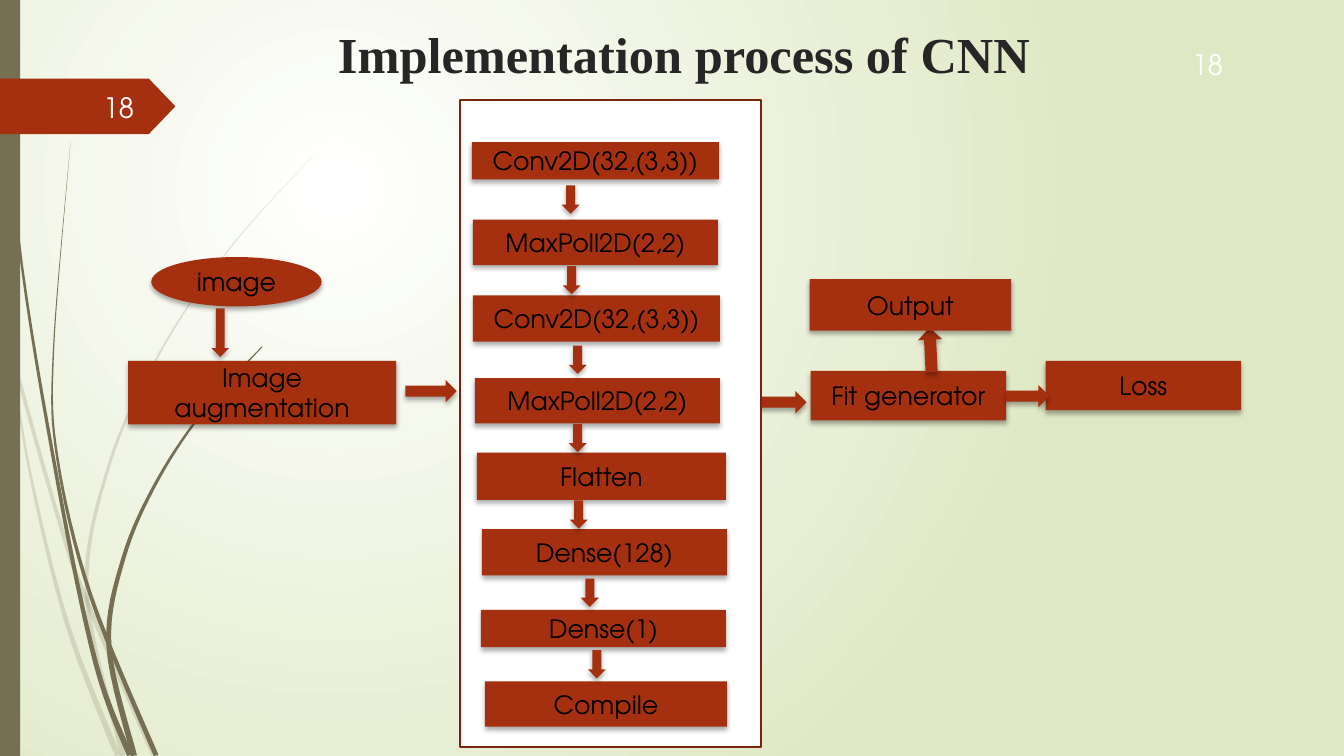
from dataclasses import dataclass
from itertools import pairwise
from math import hypot

from lxml.etree import SubElement
from pptx import Presentation
from pptx.dml.color import RGBColor
from pptx.enum.shapes import MSO_SHAPE
from pptx.enum.text import MSO_ANCHOR, MSO_AUTO_SIZE, PP_ALIGN
from pptx.oxml.ns import qn
from pptx.util import Inches, Pt

COLORS = {
    "rust": "A53010", "panel_line": "7A240C", "olive": "766F54", "white": "FFFFFF",
    "page_number": "FEFFFF", "title": "262626", "black": "000000", "meadow": "DFE8C4",
}
SLIDE_WIDTH, SLIDE_HEIGHT = 13.33, 7.5
BODY_FONT = "TeX Gyre Adventor"
PAGE_NUMBER = "18"
CURVE_STEPS = 8
Points = list[tuple[float, float]]


@dataclass
class Block:
    left: float
    top: float
    width: float
    height: float
    text: str = ""
    kind: MSO_SHAPE = MSO_SHAPE.RECTANGLE
    rotation: float = 0
    fill: str = "rust"
    line: str = ""
    shadow: bool = True

    @property
    def bottom(self) -> float:
        return self.top + self.height


@dataclass
class Blade:
    """A grass blade that follows its knots and widens from tip to root."""
    knots: Points
    tip_width: float
    root_width: float
    opacity: int = 100


# Grass: a pale and a dark tuft, each with an outer, an inner and an arching blade
BLADES = [
    Blade([(0, 2.9), (0.16, 3.65), (0.6, 5.21), (0.86, 5.96), (1.53, 7.5)], 0.03, 0.05, 20),
    Blade([(0.11, 3.5), (0.3, 4.7), (0.67, 6.2), (1.17, 7.5)], 0.01, 0.06, 20),
    Blade([(3.12, 1.53), (2.29, 2.45), (1.59, 3.49), (1.08, 4.62), (0.86, 5.9), (1.22, 7.5)],
          0, 0.05, 20),
    Blade([(0.03, 0), (0.18, 2.33), (0.57, 4.77), (0.95, 6.58), (1.29, 7.5)], 0.01, 0.06),
    Blade([(0.7, 1.41), (0.53, 3.49), (0.57, 4.55), (0.9, 5.91), (1.55, 7.5)], 0, 0.05),
    Blade([(2.6, 3.44), (2.04, 4.05), (1.57, 4.75), (1.23, 5.52), (1.08, 6.4), (1.33, 7.5)],
          0.01, 0.06),
]

# Steps before and after the network
RIGHT, DOWN = MSO_SHAPE.RIGHT_ARROW, MSO_SHAPE.DOWN_ARROW
PIPELINE = [
    Block(1.5, 2.55, 1.69, 0.49, "image", MSO_SHAPE.OVAL),
    Block(8.04, 3.68, 1.94, 0.49, "Fit generator"),
    Block(1.27, 3.58, 2.66, 0.63, "Image augmentation"),
    Block(7.49, 3.88, 0.51, 0.22, kind=RIGHT),
    Block(9.01, 3.35, 0.44, 0.24, kind=RIGHT, rotation=267.3),
    Block(8.03, 2.77, 2, 0.51, "Output"),
    Block(10.37, 3.58, 1.94, 0.49, "Loss"),
    Block(4.02, 3.77, 0.51, 0.22, kind=RIGHT),
    Block(9.98, 3.82, 0.43, 0.22, kind=RIGHT),
    Block(2.1, 3.06, 0.17, 0.48, kind=DOWN),
]

# Network layers from top to bottom; each arrow sits midway in the gap between two layers
PANEL = Block(4.56, 0.99, 2.99, 6.42, fill="white", line="panel_line", shadow=False)
LAYERS = [
    Block(4.68, 1.41, 2.45, 0.37, "Conv2D(32,(3,3))"),
    Block(4.69, 2.18, 2.43, 0.45, "MaxPoll2D(2,2)"),
    Block(4.69, 2.93, 2.45, 0.46, "Conv2D(32,(3,3))"),
    Block(4.71, 3.75, 2.43, 0.45, "MaxPoll2D(2,2)"),
    Block(4.73, 4.49, 2.47, 0.47, "Flatten"),
    Block(4.78, 5.25, 2.43, 0.46, "Dense(128)"),
    Block(4.77, 6.05, 2.43, 0.37, "Dense(1)"),
    Block(4.81, 6.76, 2.4, 0.45, "Compile"),
]
ARROW_WIDTH, ARROW_HEIGHT = 0.18, 0.28
ARROW_LEFTS = [5.57, 5.58, 5.64, 5.64, 5.65, 5.76, 5.83]


def color(name: str) -> RGBColor:
    return RGBColor.from_string(COLORS[name])


def apply_format(target, values: dict) -> None:
    for name, value in values.items():
        setattr(target, name, value)


def write(shape, text: str, size: int, ink: str, align=PP_ALIGN.CENTER,
          anchor=MSO_ANCHOR.MIDDLE, font: str = BODY_FONT, bold: bool = False) -> None:
    frame = shape.text_frame
    apply_format(frame, {"word_wrap": True, "auto_size": MSO_AUTO_SIZE.NONE,
                         "vertical_anchor": anchor})
    paragraph = frame.paragraphs[0]
    paragraph.alignment = align
    run = paragraph.add_run()
    run.text = text
    apply_format(run.font, {"name": font, "size": Pt(size), "bold": bold})
    run.font.color.rgb = color(ink)


def paint(shape, fill: str, line: str = "", opacity: int = 100) -> None:
    shape.fill.solid()
    shape.fill.fore_color.rgb = color(fill)
    if opacity < 100:
        tint = shape._element.spPr.find(qn("a:solidFill"))[0]
        SubElement(tint, qn("a:alpha"), val=str(opacity * 1000))
    if line:
        shape.line.color.rgb = color(line)
        shape.line.width = Pt(1.25)
    else:
        shape.line.fill.background()
    shape.shadow.inherit = False


def add_drop_shadow(shape) -> None:
    effects = shape._element.spPr.find(qn("a:effectLst"))
    outer = SubElement(effects, qn("a:outerShdw"), blurRad=str(Pt(3.5)), dist=str(Pt(2.2)),
                       dir="5400000", algn="ctr", rotWithShape="0")
    tint = SubElement(outer, qn("a:srgbClr"), val=COLORS["black"])
    SubElement(tint, qn("a:alpha"), val="32000")


def add_block(slide, block: Block):
    box = [Inches(value) for value in (block.left, block.top, block.width, block.height)]
    shape = slide.shapes.add_shape(block.kind, *box)
    shape.rotation = block.rotation
    paint(shape, block.fill, block.line)
    if block.shadow:
        add_drop_shadow(shape)
    if block.text:
        write(shape, block.text, 18, "black")
    return shape


def smooth_curve(knots: Points) -> Points:
    """Catmull-Rom curve through all knots."""
    padded = [knots[0], *knots, knots[-1]]
    curve = []
    for before, start, end, after in zip(padded, padded[1:], padded[2:], padded[3:]):
        for step in range(CURVE_STEPS):
            t = step / CURVE_STEPS
            curve.append(tuple(
                b + ((c - a) * t + (2 * a - 5 * b + 4 * c - d) * t**2
                     + (3 * b - a - 3 * c + d) * t**3) / 2
                for a, b, c, d in zip(before, start, end, after)))
    return [*curve, knots[-1]]


def blade_outline(blade: Blade) -> Points:
    """Offset the curve to both sides by half its growing width, within the slide."""
    curve = smooth_curve(blade.knots)
    last = len(curve) - 1
    left_side, right_side = [], []
    for index, (x, y) in enumerate(curve):
        (x0, y0), (x1, y1) = curve[max(index - 1, 0)], curve[min(index + 1, last)]
        width = blade.tip_width + (blade.root_width - blade.tip_width) * index / last
        reach = width / 2 / hypot(x1 - x0, y1 - y0)
        for side, sign in ((left_side, -1), (right_side, 1)):
            edge_x, edge_y = x + sign * reach * (y1 - y0), y - sign * reach * (x1 - x0)
            side.append((max(edge_x, 0), min(max(edge_y, 0), SLIDE_HEIGHT)))
    return left_side + right_side[::-1]


def add_blade(slide, blade: Blade) -> None:
    start, *others = [(Inches(x), Inches(y)) for x, y in blade_outline(blade)]
    builder = slide.shapes.build_freeform(*start)
    builder.add_line_segments(others, close=True)
    paint(builder.convert_to_shape(), "olive", opacity=blade.opacity)


def add_page_number(slide, left: float, top: float) -> None:
    box = slide.shapes.add_textbox(Inches(left), Inches(top), Inches(0.85), Inches(0.4))
    write(box, PAGE_NUMBER, 20, "page_number", PP_ALIGN.RIGHT)


def set_background(slide) -> None:
    fill = slide.background.fill
    fill.gradient()
    for stop, name in zip(fill.gradient_stops, ("white", "meadow")):
        stop.color.rgb = color(name)
    gradient = slide._element.find(".//" + qn("a:gradFill"))
    gradient.remove(gradient.find(qn("a:lin")))
    circle = SubElement(gradient, qn("a:path"), path="circle")
    SubElement(circle, qn("a:fillToRect"), l="50000", t="50000", r="100000", b="100000")


def layer_arrows() -> list[Block]:
    return [Block(left, (upper.bottom + lower.top - ARROW_HEIGHT) / 2,
                  ARROW_WIDTH, ARROW_HEIGHT, kind=DOWN)
            for left, (upper, lower) in zip(ARROW_LEFTS, pairwise(LAYERS))]


def main() -> None:
    presentation = Presentation()
    apply_format(presentation, {"slide_width": Inches(SLIDE_WIDTH),
                                "slide_height": Inches(SLIDE_HEIGHT)})
    slide = presentation.slides.add_slide(presentation.slide_layouts[5])

    # Backdrop
    set_background(slide)
    for blade in BLADES:
        add_blade(slide, blade)
    add_block(slide, Block(0, 0, 0.2, SLIDE_HEIGHT, fill="olive", shadow=False))
    number_tag = add_block(slide, Block(0, 0.78, 1.74, 0.55, kind=MSO_SHAPE.PENTAGON, shadow=False))
    number_tag.adjustments[0] = 0.48

    # Title and page numbers
    title = slide.shapes.title
    apply_format(title, {"left": Inches(2.28), "top": Inches(0.18),
                         "width": Inches(9.01), "height": Inches(0.89)})
    write(title, "Implementation process of CNN", 36, "title", anchor=MSO_ANCHOR.TOP,
          font="Times New Roman", bold=True)
    for left, top in ((0.58, 0.86), (11.38, 0.44)):
        add_page_number(slide, left, top)

    # Diagram
    for block in [*PIPELINE, PANEL, *LAYERS, *layer_arrows()]:
        add_block(slide, block)
    presentation.save("out.pptx")


if __name__ == "__main__":
    main()
